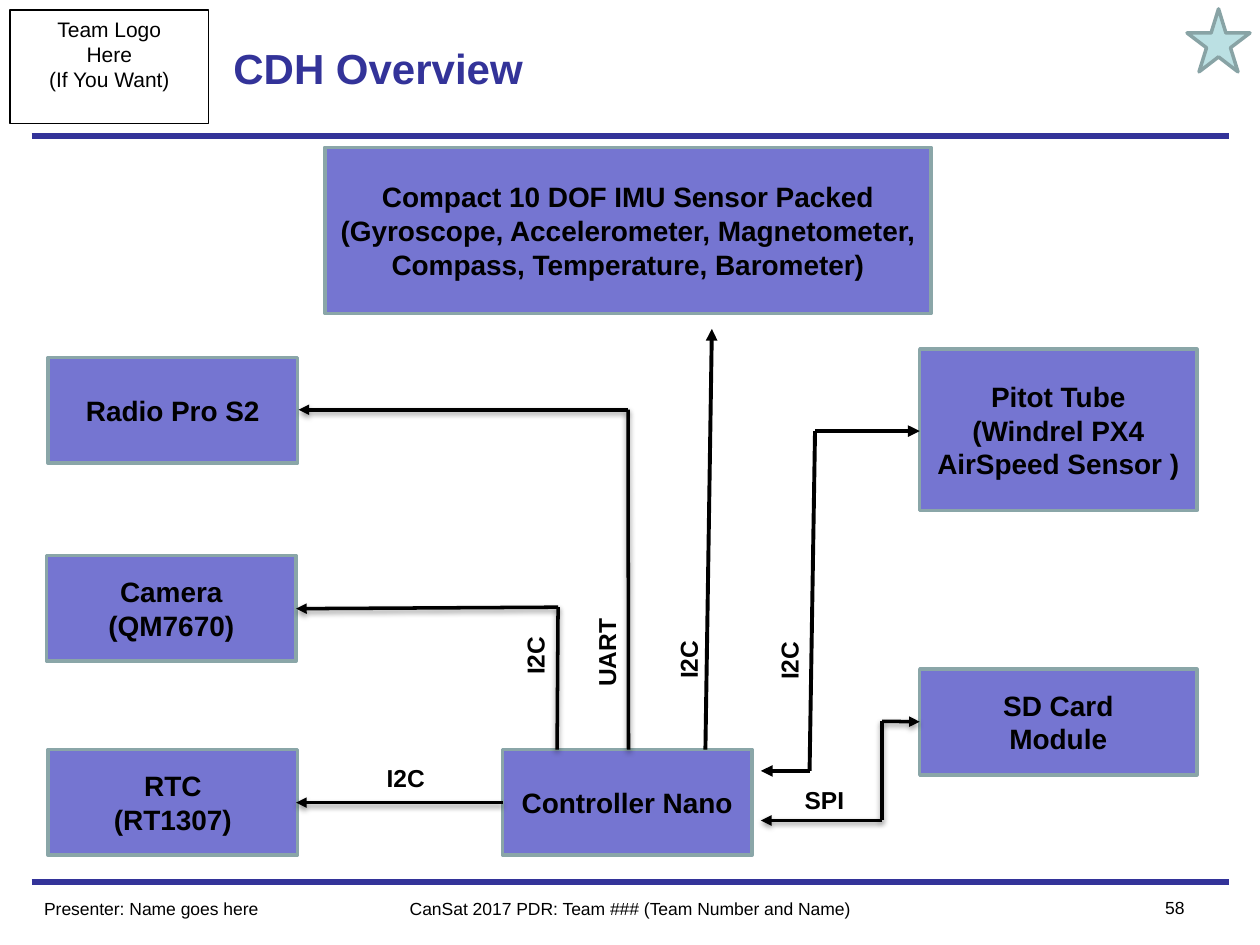
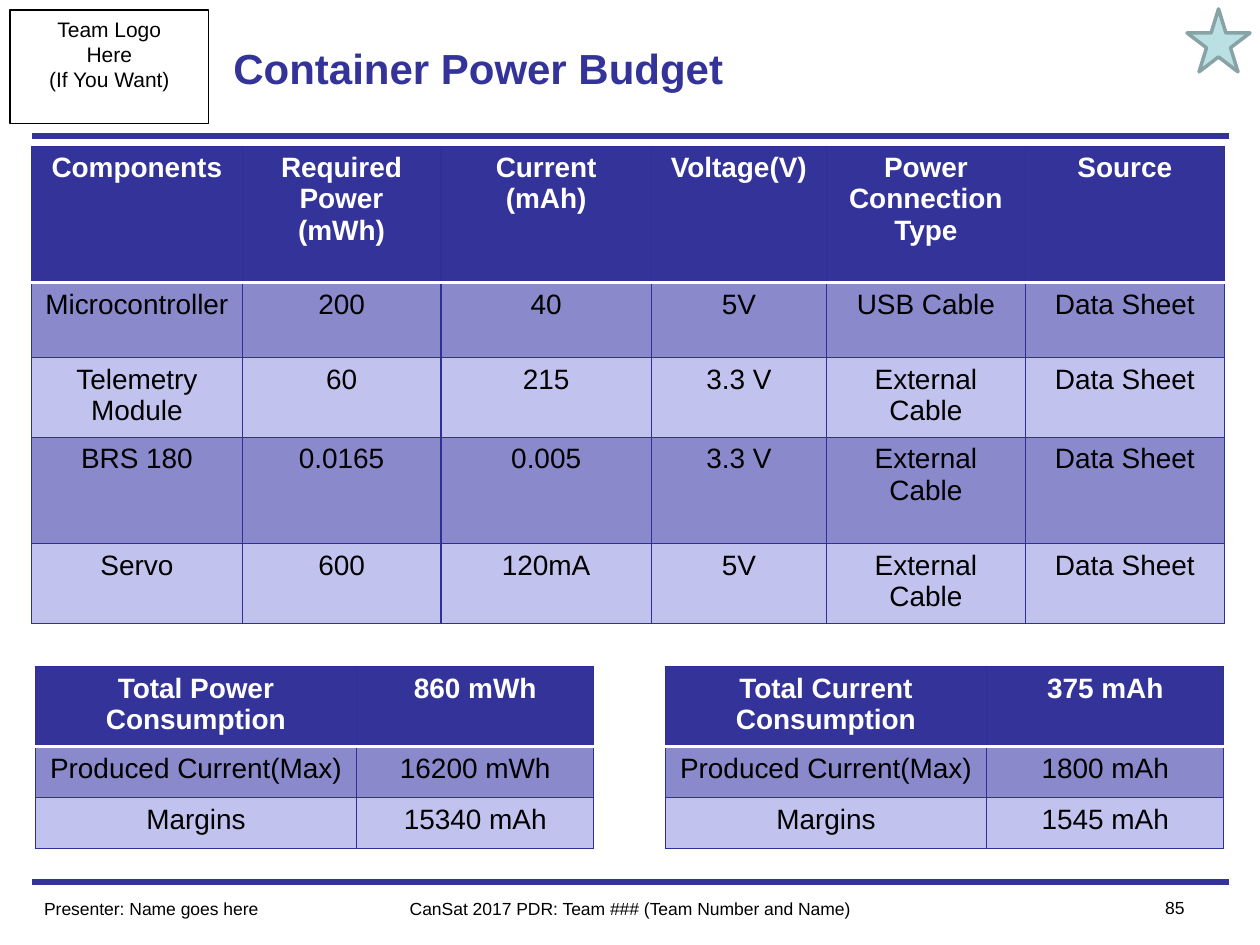
"""Build two CanSat review slides: the CDH overview and the container power budget."""
from itertools import pairwise

from lxml.etree import SubElement
from pptx import Presentation
from pptx.dml.color import RGBColor
from pptx.enum.shapes import MSO_CONNECTOR, MSO_SHAPE
from pptx.enum.text import MSO_ANCHOR, MSO_AUTO_SIZE, PP_ALIGN
from pptx.oxml import parse_xml
from pptx.oxml.ns import nsdecls, qn
from pptx.util import Cm, Pt

COLORS = {
    "navy": "333399",
    "border": "2F2F98",
    "band": "8989CC",
    "pale": "C2C2EE",
    "block": "7575D1",
    "block_line": "8AA6A8",
    "star": "BBE0E3",
    "star_line": "88A3A5",
    "black": "000000",
    "white": "FFFFFF",
}
FONT = "Arial"


def write(frame, text, size, color="black", bold=False, align=PP_ALIGN.CENTER, anchor=MSO_ANCHOR.TOP):
    frame.word_wrap = True
    frame.vertical_anchor = anchor
    for index, line in enumerate(text.split("\n")):
        para = frame.paragraphs[0] if index == 0 else frame.add_paragraph()
        para.alignment = align
        span = para.add_run()
        span.text = line
        span.font.name = FONT
        span.font.size = Pt(size)
        span.font.bold = bold
        span.font.color.rgb = RGBColor.from_string(COLORS[color])


def add_outlined(page, kind, place, fill, line, width):
    shape = page.shapes.add_shape(kind, *map(Cm, place))
    shape.shadow.inherit = False
    if fill:
        shape.fill.solid()
        shape.fill.fore_color.rgb = RGBColor.from_string(COLORS[fill])
    else:
        shape.fill.background()
    shape.line.color.rgb = RGBColor.from_string(COLORS[line])
    shape.line.width = Pt(width)
    return shape


deck = Presentation()
deck.slide_width = Cm(25.4)
deck.slide_height = Cm(19.05)

pages = []
for heading, number in [("CDH Overview", "58"), ("Container Power Budget", "85")]:
    page = deck.slides.add_slide(deck.slide_layouts[5])
    pages.append(page)

    title = page.shapes.title
    title.left, title.top, title.width, title.height = map(Cm, (4.45, 0.2, 16.51, 2.34))
    title.text_frame.auto_size = MSO_AUTO_SIZE.NONE
    write(title.text_frame, heading, 24, "navy", True, PP_ALIGN.LEFT, MSO_ANCHOR.MIDDLE)

    for height in (2.74, 17.78):
        rule = page.shapes.add_connector(
            MSO_CONNECTOR.STRAIGHT, Cm(0.64), Cm(height), Cm(24.77), Cm(height)
        )
        rule.line.color.rgb = RGBColor.from_string(COLORS["navy"])
        rule.line.width = Pt(3)
        SubElement(rule._element.spPr, qn("a:effectLst"))

    logo_box = add_outlined(page, MSO_SHAPE.RECTANGLE, (0.2, 0.2, 4.01, 2.29), None, "black", 0.75)
    write(logo_box.text_frame, "Team Logo\nHere\n(If You Want)", 12)

    star = add_outlined(page, MSO_SHAPE.STAR_5_POINT, (23.93, 0.18, 1.27, 1.27), "star", "star_line", 2)
    star.adjustments[0] = 0.19

    footers = [
        ("Presenter: Name goes here", 0.64, 17.98, 6.35, PP_ALIGN.LEFT),
        ("CanSat 2017 PDR: Team ### (Team Number and Name)", 7.62, 17.98, 10.16, PP_ALIGN.CENTER),
        (number, 22.23, 17.95, 1.9, PP_ALIGN.RIGHT),
    ]
    for text, left, top, width, align in footers:
        box = page.shapes.add_textbox(Cm(left), Cm(top), Cm(width), Cm(0.69))
        write(box.text_frame, text, 10, align=align)

overview, budget = pages

blocks = [
    ("Controller Nano", 10.13, 15.11, 5.03, 2.13),
    ("Radio Pro S2", 0.97, 7.21, 5.03, 2.13),
    ("Camera\n(QM7670)", 0.94, 11.2, 5.03, 2.13),
    ("RTC\n(RT1307)", 0.97, 15.11, 5.03, 2.13),
    (
        "Compact 10 DOF IMU Sensor Packed\n"
        "(Gyroscope, Accelerometer, Magnetometer, Compass, Temperature, Barometer)",
        6.55, 2.97, 12.22, 3.35,
    ),
    ("SD Card\nModule", 18.54, 13.49, 5.59, 2.13),
    ("Pitot Tube\n(Windrel PX4 AirSpeed Sensor )", 18.54, 7.04, 5.59, 3.25),
]
for text, *place in blocks:
    block = add_outlined(overview, MSO_SHAPE.RECTANGLE, place, "block", "block_line", 2)
    write(block.text_frame, text, 16, bold=True, anchor=MSO_ANCHOR.MIDDLE)

wires = [
    ([(14.22, 15.11), (14.35, 6.63)], 2.25, False, False),
    ([(15.34, 15.54), (16.32, 15.54), (16.43, 8.69), (18.54, 8.69)], 2.25, True, False),
    ([(11.23, 15.11), (11.25, 12.24), (5.97, 12.27)], 2, False, True),
    ([(12.67, 15.11), (12.66, 8.26), (6.02, 8.26)], 2, False, True),
    ([(10.13, 16.18), (5.97, 16.18)], 2, False, True),
    ([(15.34, 16.54), (17.78, 16.54), (17.78, 14.54), (18.54, 14.55)], 2, True, True),
]
for points, width, two_way, shaded in wires:
    for start, end in pairwise(points):
        wire = overview.shapes.add_connector(MSO_CONNECTOR.STRAIGHT, *map(Cm, start + end))
        wire.line.color.rgb = RGBColor.from_string(COLORS["black"])
        wire.line.width = Pt(width)
        outline = wire.line._get_or_add_ln()
        if two_way and start == points[0]:
            SubElement(outline, qn("a:headEnd"), type="triangle")
        if end == points[-1]:
            SubElement(outline, qn("a:tailEnd"), type="triangle")
        effects = SubElement(wire._element.spPr, qn("a:effectLst"))
        if shaded:
            shadow = SubElement(
                effects, qn("a:outerShdw"),
                blurRad=str(Pt(3.1)), dist=str(Pt(1.6)), dir="5400000", rotWithShape="0",
            )
            tone = SubElement(shadow, qn("a:srgbClr"), val=COLORS["black"])
            SubElement(tone, qn("a:alpha"), val="38000")

bus_labels = [
    ("I2C", 13.87, 13.3, 270),
    ("I2C", 15.9, 13.32, 270),
    ("I2C", 10.78, 13.22, 270),
    ("UART", 12.22, 13.16, 270),
    ("SPI", 16.62, 16.12, 0),
    ("I2C", 8.18, 15.68, 0),
]
for text, center, middle, turn in bus_labels:
    box = overview.shapes.add_textbox(Cm(center - 0.95), Cm(middle - 0.42), Cm(1.9), Cm(0.84))
    box.rotation = turn
    write(box.text_frame, text, 14, bold=True)
    box.text_frame.word_wrap = False

tables = [
    (
        0.64, 2.95, [4.24, 4.01, 4.24, 3.53, 4.01, 4.01], [2.75, 1.51, 1.51, 2.14, 1.51],
        [
            ["Components", "Required Power\n(mWh)", "Current\n(mAh)", "Voltage(V)",
             "Power Connection Type", "Source"],
            ["Microcontroller", "200", "40", "5V", "USB Cable", "Data Sheet"],
            ["Telemetry Module", "60", "215", "3.3 V", "External Cable", "Data Sheet"],
            ["BRS 180", "0.0165", "0.005", "3.3 V", "External Cable", "Data Sheet"],
            ["Servo", "600", "120mA", "5V", "External Cable", "Data Sheet"],
        ],
    ),
    (
        13.41, 13.44, [6.48, 4.78], [1.51, 1.03, 1.03],
        [
            ["Total Current Consumption", "375 mAh"],
            ["Produced Current(Max)", "1800 mAh"],
            ["Margins", "1545 mAh"],
        ],
    ),
    (
        0.71, 13.44, [6.48, 4.78], [1.51, 1.03, 1.03],
        [
            ["Total Power Consumption", "860 mWh"],
            ["Produced Current(Max)", "16200 mWh"],
            ["Margins", "15340 mAh"],
        ],
    ),
]
for left, top, widths, heights, rows in tables:
    table = budget.shapes.add_table(
        len(rows), len(widths), Cm(left), Cm(top), Cm(sum(widths)), Cm(sum(heights))
    ).table
    for column, width in zip(table.columns, widths):
        column.width = Cm(width)
    for row_index, (row, height, texts) in enumerate(zip(table.rows, heights, rows)):
        row.height = Cm(height)
        header = row_index == 0
        fill = "navy" if header else ("pale", "band")[row_index % 2]
        for cell, text in zip(row.cells, texts):
            write(cell.text_frame, text, 16, "white" if header else "black", header)
            cell.fill.solid()
            cell.fill.fore_color.rgb = RGBColor.from_string(COLORS[fill])
            for position, side in enumerate(("lnL", "lnR", "lnT", "lnB")):
                divider = (row_index, side) in ((0, "lnB"), (1, "lnT"))
                color, weight = ("white", 2) if divider else ("border", 0.75)
                edge = parse_xml(
                    f'<a:{side} {nsdecls("a")} w="{Pt(weight)}"><a:solidFill>'
                    f'<a:srgbClr val="{COLORS[color]}"/></a:solidFill></a:{side}>'
                )
                cell._tc.get_or_add_tcPr().insert(position, edge)

deck.save("out.pptx")
